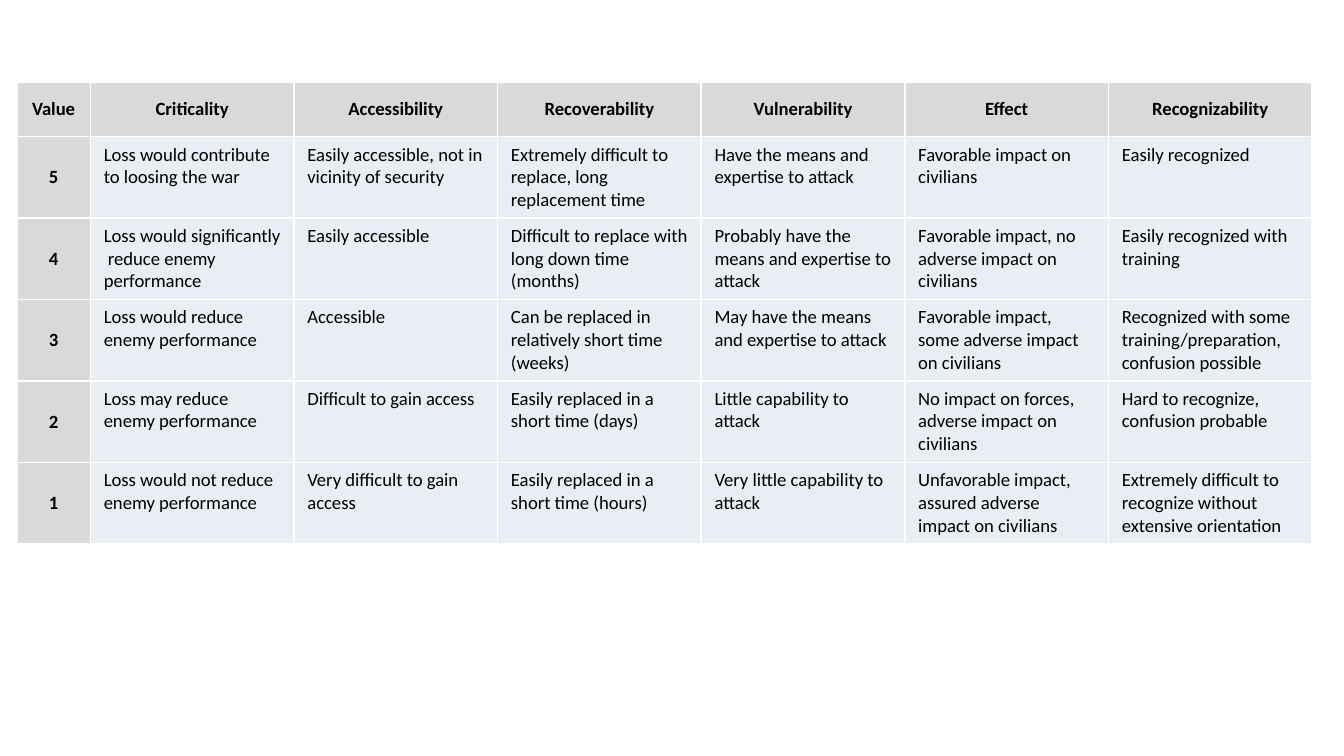
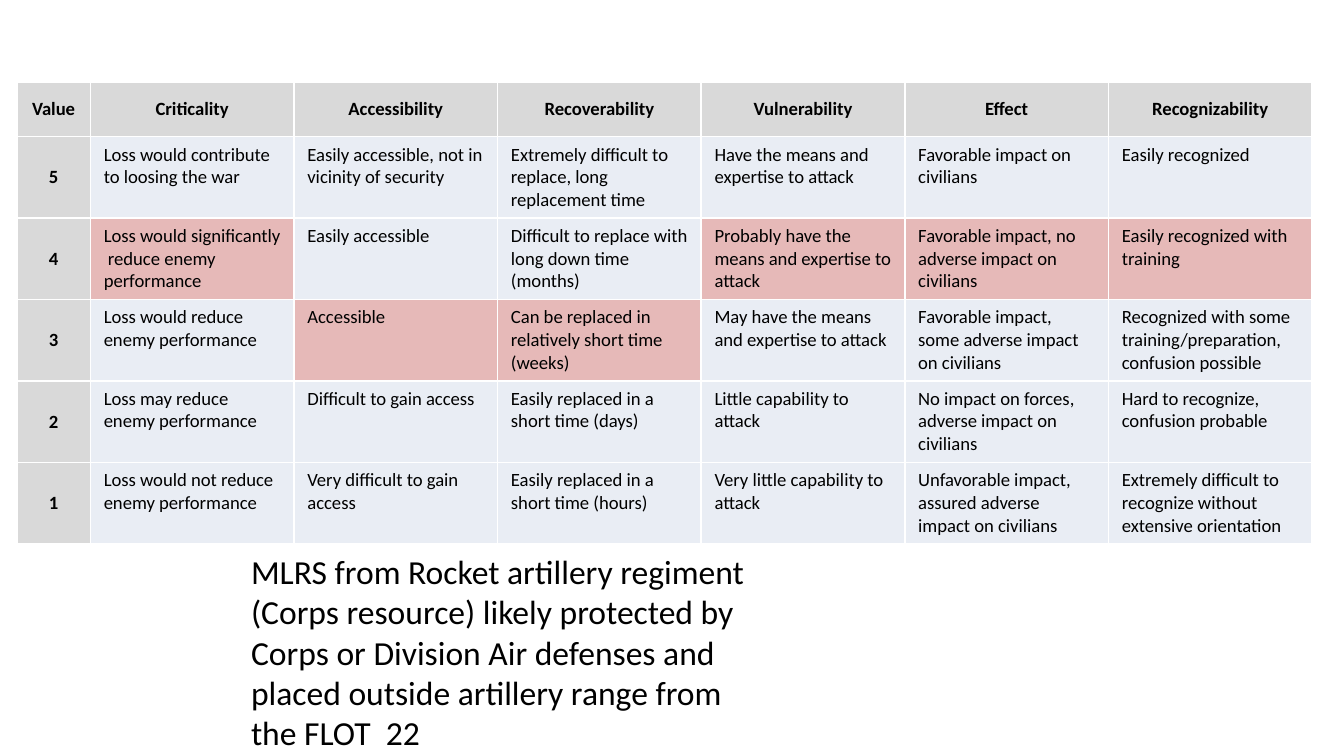
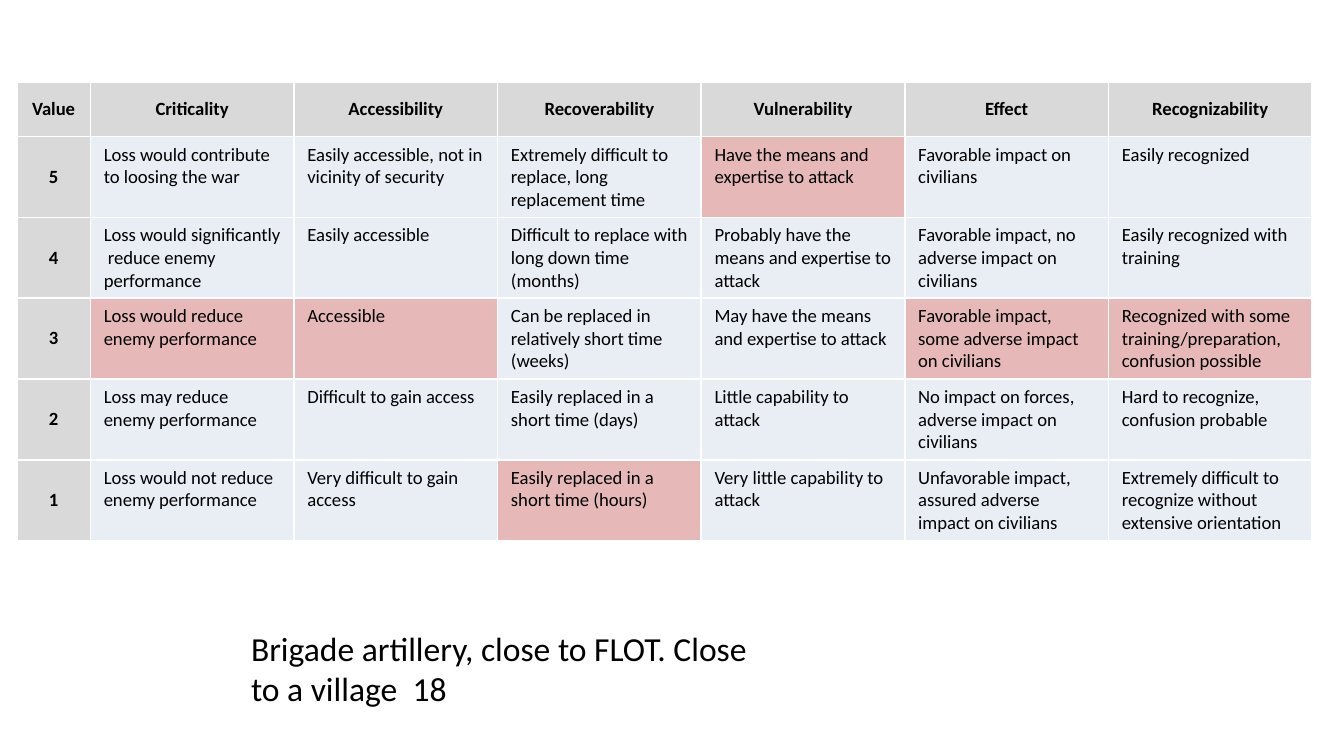
from lxml import etree
from pptx import Presentation
from pptx.dml.color import RGBColor
from pptx.enum.text import MSO_ANCHOR, MSO_AUTO_SIZE, PP_ALIGN
from pptx.oxml.ns import qn
from pptx.util import Pt

CENTER, LEFT = PP_ALIGN.CENTER, PP_ALIGN.LEFT
MIDDLE, TOP = MSO_ANCHOR.MIDDLE, MSO_ANCHOR.TOP
GROW = MSO_AUTO_SIZE.SHAPE_TO_FIT_TEXT
BLANK_LAYOUT = 6

# Shared look
FONT = "Calibri"
BLACK, WHITE = "000000", "FFFFFF"
HEADING_FILL, BODY_FILL, CHOSEN_FILL = "D9D9D9", "E9EDF4", "E6B9B8"

# Table grid
TABLE_LEFT, TABLE_TOP = 9, 44
VALUE_WIDTH, CRITERION_WIDTH, ROW_HEIGHT = 39.4, 109.1, 29.2

# Scoring matrix: one row per value, from 5 down to 1
HEADINGS = ["Value", "Criticality", "Accessibility", "Recoverability",
            "Vulnerability", "Effect", "Recognizability"]
RATINGS = {
    5: ["Loss would contribute to loosing the war",
        "Easily accessible, not in vicinity of security",
        "Extremely difficult to replace, long replacement time",
        "Have the means and expertise to attack",
        "Favorable impact on civilians",
        "Easily recognized"],
    4: ["Loss would significantly  reduce enemy performance",
        "Easily accessible",
        "Difficult to replace with long down time (months)",
        "Probably have the means and expertise to attack",
        "Favorable impact, no adverse impact on civilians",
        "Easily recognized with training"],
    3: ["Loss would reduce enemy performance",
        "Accessible",
        "Can be replaced in relatively short time (weeks)",
        "May have the means and expertise to attack",
        "Favorable impact, some adverse impact on civilians",
        "Recognized with some training/preparation, confusion possible"],
    2: ["Loss may reduce enemy performance",
        "Difficult to gain access",
        "Easily replaced in a short time (days)",
        "Little capability to attack",
        "No impact on forces, adverse impact on civilians",
        "Hard to recognize, confusion probable"],
    1: ["Loss would not reduce enemy performance",
        "Very difficult to gain access",
        "Easily replaced in a short time (hours)",
        "Very little capability to attack",
        "Unfavorable impact, assured adverse impact on civilians",
        "Extremely difficult to recognize without extensive orientation"],
}

# Assessed targets: score per criterion, description, top and height of the note
TARGETS = [
    ([4, 3, 3, 4, 4, 4],
     "MLRS from Rocket artillery regiment (Corps resource) likely protected by "
     "Corps or Division Air defenses and placed outside artillery range from "
     "the FLOT", 291.6, 116.6),
    ([3, 3, 1, 5, 3, 3],
     "Brigade artillery, close to FLOT. Close to a village", 332.8, 51),
]


def color(hex_code):
    return RGBColor.from_string(hex_code)


def write(text_frame, text, size=10, bold=False, align=LEFT):
    paragraph = text_frame.paragraphs[0]
    paragraph.alignment = align
    run = paragraph.add_run()
    run.text = text
    run.font.name = FONT
    run.font.size = Pt(size)
    run.font.bold = bold
    run.font.color.rgb = color(BLACK)


def add_borders(cell):
    properties = cell._tc.get_or_add_tcPr()
    for side in ("a:lnL", "a:lnR", "a:lnT", "a:lnB"):
        line = etree.SubElement(properties, qn(side), w=str(Pt(1)))
        fill = etree.SubElement(line, qn("a:solidFill"))
        etree.SubElement(fill, qn("a:srgbClr"), val=WHITE)


def fill_cell(cell, text, fill, heading=False):
    add_borders(cell)
    cell.fill.solid()
    cell.fill.fore_color.rgb = color(fill)
    cell.vertical_anchor = MIDDLE if heading else TOP
    write(cell.text_frame, text, bold=heading, align=CENTER if heading else LEFT)


def add_matrix(slide, scores=()):
    """Draw the scoring matrix and mark the score chosen for each criterion."""
    row_count, column_count = len(RATINGS) + 1, len(HEADINGS)
    widths = [VALUE_WIDTH] + [CRITERION_WIDTH] * (column_count - 1)
    table = slide.shapes.add_table(
        row_count, column_count, Pt(TABLE_LEFT), Pt(TABLE_TOP),
        Pt(sum(widths)), Pt(ROW_HEIGHT * row_count)).table
    table.first_row = table.horz_banding = False
    for column, width in zip(table.columns, widths):
        column.width = Pt(width)
    for row in table.rows:
        row.height = Pt(ROW_HEIGHT)

    for column, heading in enumerate(HEADINGS):
        fill_cell(table.cell(0, column), heading, HEADING_FILL, heading=True)
    chosen = set(enumerate(scores))
    for row, (value, ratings) in enumerate(RATINGS.items(), start=1):
        fill_cell(table.cell(row, 0), str(value), HEADING_FILL, heading=True)
        for criterion, rating in enumerate(ratings):
            fill = CHOSEN_FILL if (criterion, value) in chosen else BODY_FILL
            fill_cell(table.cell(row, criterion + 1), rating, fill)


def add_note(slide, text, top, height):
    box = slide.shapes.add_textbox(Pt(127.4), Pt(top), Pt(289.4), Pt(height))
    box.text_frame.word_wrap = True
    box.text_frame.auto_size = GROW
    write(box.text_frame, text, size=18)


def main():
    presentation = Presentation()
    presentation.slide_width, presentation.slide_height = Pt(720), Pt(405)
    layout = presentation.slide_layouts[BLANK_LAYOUT]

    # Unmarked matrix
    add_matrix(presentation.slides.add_slide(layout))

    # One assessed target per slide, with its total score
    for scores, description, top, height in TARGETS:
        slide = presentation.slides.add_slide(layout)
        add_matrix(slide, scores)
        add_note(slide, f"{description}  {sum(scores)}", top, height)

    presentation.save("out.pptx")


if __name__ == "__main__":
    main()
